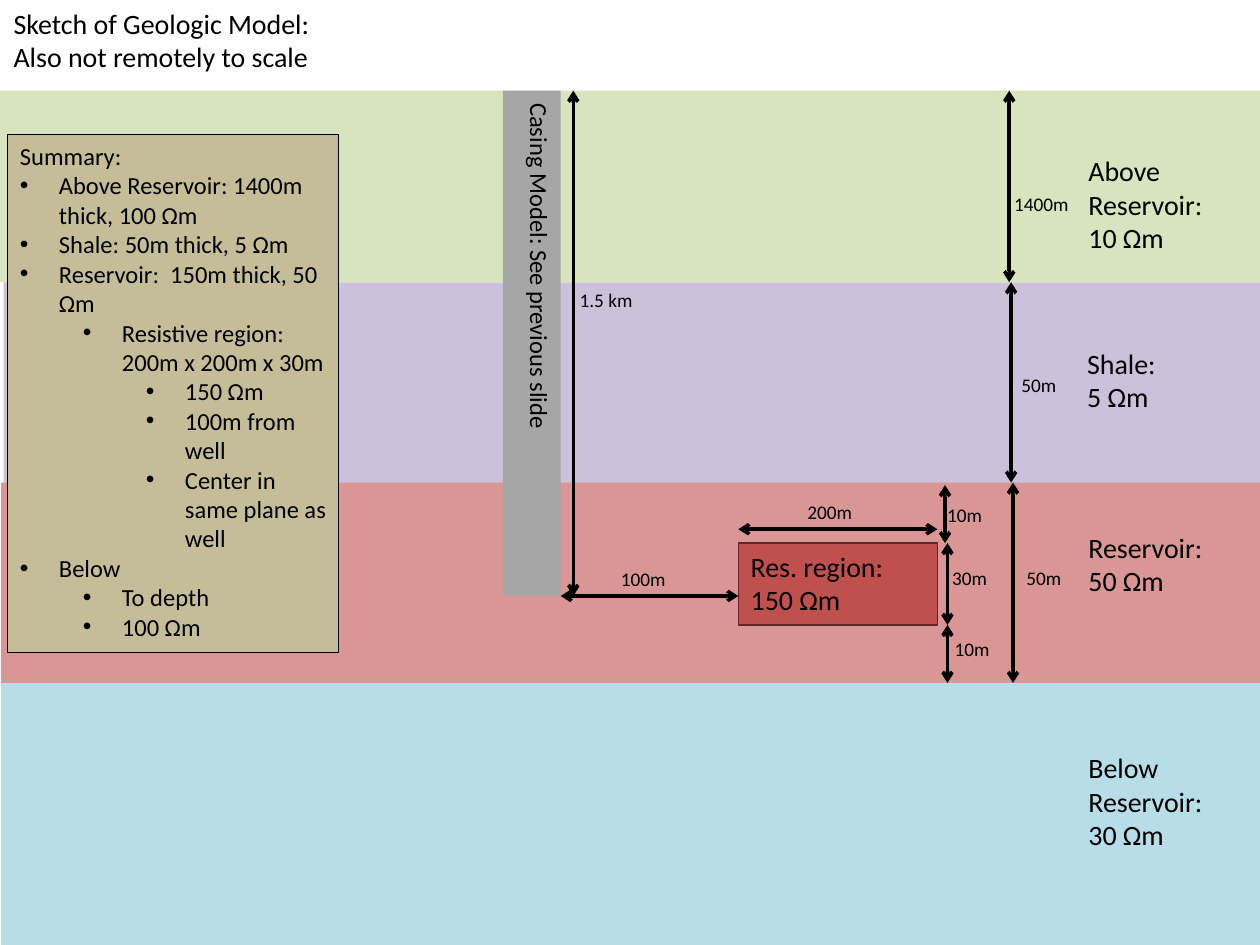
from pptx import Presentation
from pptx.dml.color import RGBColor
from pptx.enum.shapes import MSO_CONNECTOR, MSO_SHAPE
from pptx.enum.text import MSO_ANCHOR, PP_ALIGN
from pptx.oxml.ns import qn
from pptx.util import Inches, Pt
from lxml import etree

RECT = MSO_SHAPE.RECTANGLE
LINE = MSO_CONNECTOR.STRAIGHT
TOP = MSO_ANCHOR.TOP
LEFT, MID = PP_ALIGN.LEFT, PP_ALIGN.CENTER

FONT = "Calibri"
COLS, ROWS = 100, 75  # grid of the slide, 0.1 inch a cell
HUE = {
    "ink": "000000", "above": "D7E4BD", "shale": "CCC1DA",
    "pay": "D99694", "below": "B7DEE8", "steel": "A6A6A6",
    "note": "C4BD97", "block": "C0504D", "edge": "632523",
}

# name, colour, box, label offset from the box, label rows
BANDS = [
    ("Below Reservoir:\n30 Ωm", "below", (0.1, 54.2, 99.9, 20.8), (85.3, 4.9), 9.1),
    ("Shale:\n5 Ωm", "shale", (0.3, 22.4, 99.7, 16.1), (85, 4.6), 6.4),
    ("Above Reservoir:\n10 Ωm", "above", (0, 7.2, 100, 15.2), (85.4, 4.5), 9.1),
    ("Reservoir:\n50 Ωm", "pay", (0.1, 38.3, 99.9, 15.9), (85.3, 3.3), 6.4),
]

# text, bullet level (None for no bullet)
NOTES = [
    ("Summary:", None),
    ("Above Reservoir: 1400m thick, 100 Ωm", 0),
    ("Shale: 50m thick, 5 Ωm", 0),
    ("Reservoir:  150m thick, 50 Ωm", 0),
    ("Resistive region: 200m x 200m x 30m", 1),
    ("150 Ωm", 2),
    ("100m from well", 2),
    ("Center in same plane as well", 2),
    ("Below", 0),
    ("To depth", 1),
    ("100 Ωm", 1),
]


def cell(num):
    return Inches(num / 10)


def write(shape, text, size=16, align=LEFT):
    frame = shape.text_frame
    frame.word_wrap = True
    frame.vertical_anchor = TOP
    frame.text = text
    for para in frame.paragraphs:
        para.alignment = align
        font = para.font
        font.name, font.size = FONT, Pt(size)
        font.color.rgb = RGBColor.from_string(HUE["ink"])


def label(slide, box, text, **form):
    write(slide.shapes.add_textbox(*map(cell, box)), text, **form)


def block(slide, box, fill, edge=None):
    shape = slide.shapes.add_shape(RECT, *map(cell, box))
    shape.shadow.inherit = False
    shape.fill.solid()
    shape.fill.fore_color.rgb = RGBColor.from_string(HUE[fill])
    if edge:
        shape.line.color.rgb = RGBColor.from_string(HUE[edge])
        shape.line.width = Pt(0.75)
    else:
        shape.line.fill.background()
    return shape


def gauge(slide, start, end, text, shift):
    """Double arrow with its length, centred at a shift from the arrow's middle."""
    line = slide.shapes.add_connector(LINE, *map(cell, start + end))
    line.line.color.rgb = RGBColor.from_string(HUE["ink"])
    line.line.width = Pt(2)
    stroke = line.line._get_or_add_ln()
    for tip in ("a:headEnd", "a:tailEnd"):
        etree.SubElement(stroke, qn(tip), type="arrow")
    etree.SubElement(line._element.spPr, qn("a:effectLst"))
    wide, high = 6.5, 2.9
    left, top = [(a + b) / 2 + c for a, b, c in zip(start, end, shift)]
    label(slide, (left - wide / 2, top - high / 2, wide, high), text,
          size=11, align=MID)


def band(slide, box, name, fill, shift, high):
    block(slide, box, fill)
    left, top = box[0] + shift[0], box[1] + shift[1]
    label(slide, (left, top, 13.6, high), name)


def well(slide, box):
    """Casing as a bar turned a quarter, with its depth beside it."""
    left, top, wide, high = box
    flat = (left + (wide - high) / 2, top + (high - wide) / 2, high, wide)
    bar = block(slide, flat, "steel")
    bar.rotation = 90
    write(bar, "Casing Model: See previous slide", size=14)
    side = left + wide + 1
    gauge(slide, (side, top), (side, top + high), "1.5 km", (2.6, -3.4))


def summary(slide, box):
    shape = block(slide, box, "note", "ink")
    write(shape, "\n".join(text for text, _ in NOTES), size=14)
    for para, (_, level) in zip(shape.text_frame.paragraphs, NOTES):
        if level is None:
            continue
        para.level = level
        props = para._p.get_or_add_pPr()
        props.set("marL", str(Inches(0.31 + level / 2)))
        props.set("indent", str(-Inches(0.31)))
        mark = etree.Element(qn("a:buChar"), char="•")
        face = etree.Element(qn("a:buFont"), typeface="Arial")
        props.insert(0, face)
        props.insert(1, mark)


def region(slide, box, roof, floor, wall):
    """Resistive block with its size and its gaps to roof, floor and well."""
    left, top, wide, high = box
    right, base = left + wide, top + high
    block(slide, box, "block", "edge")
    label(slide, (left, top, wide + 0.8, high), "Res. region:\n150 Ωm")
    side = right + 0.8
    gauge(slide, (side, top), (side, base), "30m", (1.75, -0.45))
    gauge(slide, (side, base), (side, floor), "10m", (1.95, -0.4))
    gauge(slide, (left, top - 1.1), (right, top - 1.1), "200m", (-0.65, -1.35))
    depth = top + 4.2
    gauge(slide, (wall, depth), (left, depth), "100m", (-0.5, -1.35))
    gauge(slide, (side - 0.2, roof), (side - 0.2, top), "10m", (1.55, 0.1))


def scale(slide, left, tops):
    """Thickness of each upper band, down one column."""
    marks = [("1400m", (2.55, 1.45)), ("50m", (2.2, 0.2)), ("50m", (2.45, -0.35))]
    for step, (text, shift) in enumerate(marks):
        side = left + step * 0.15
        gauge(slide, (side, tops[step]), (side, tops[step + 1]), text, shift)


def main():
    deck = Presentation()
    deck.slide_width, deck.slide_height = cell(COLS), cell(ROWS)
    slide = deck.slides.add_slide(deck.slide_layouts[6])
    for name, fill, box, shift, high in BANDS:
        band(slide, box, name, fill, shift, high)
    well(slide, (39.9, 7.2, 4.6, 40.1))
    label(slide, (0.1, 0, 37, 6.4),
          "Sketch of Geologic Model:\nAlso not remotely to scale")
    summary(slide, (0.6, 10.7, 26.3, 41.1))
    region(slide, (58.6, 43.1, 15.8, 6.5), roof=38.5, floor=54.2, wall=44.5)
    scale(slide, 80.1, (7.2, 22.4, 38.3, 54.2))
    deck.save("out.pptx")


if __name__ == "__main__":
    main()
